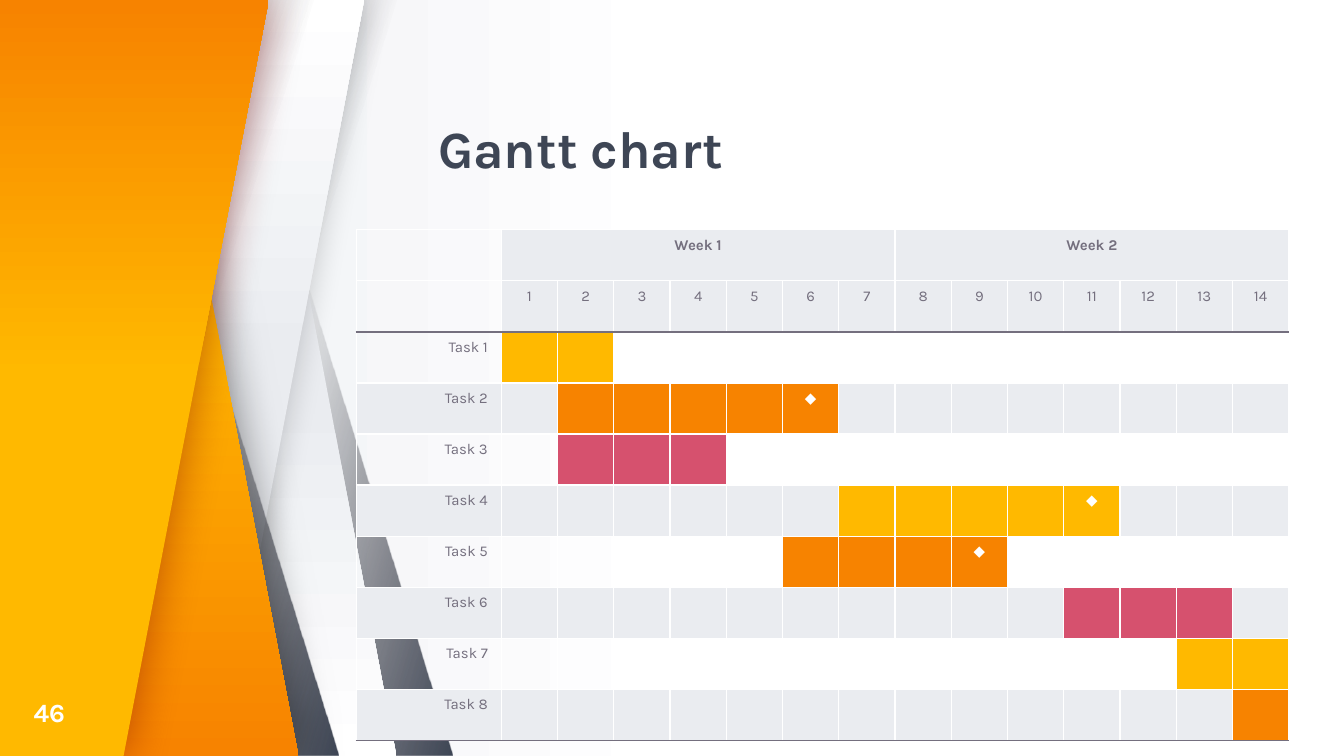
from lxml import etree
from pptx import Presentation
from pptx.dml.color import RGBColor
from pptx.enum.shapes import MSO_SHAPE
from pptx.enum.text import MSO_ANCHOR, PP_ALIGN
from pptx.oxml.ns import qn
from pptx.util import Inches, Pt

FONT = "Karla"
WIDTH = 10
HEIGHT = WIDTH * 9 / 16
WHITE = RGBColor(0xFF, 0xFF, 0xFF)
PALE = RGBColor(0xEA, 0xEC, 0xF0)
GREY = RGBColor(0x74, 0x6F, 0x7E)
SLATE = RGBColor(0x3E, 0x46, 0x55)
INK = RGBColor(0x27, 0x25, 0x2C)
YELLOW = RGBColor(0xFF, 0xB9, 0x00)
ORANGE = RGBColor(0xF7, 0x83, 0x00)
PINK = RGBColor(0xD6, 0x51, 0x6E)
BLACK = RGBColor(0, 0, 0)
MAROON = RGBColor(0x7E, 0x08, 0x08)

# First day, last day, colour, milestone on the last day
TASKS = [
    (1, 2, YELLOW, False),
    (2, 6, ORANGE, True),
    (2, 4, PINK, False),
    (7, 11, YELLOW, True),
    (6, 9, ORANGE, True),
    (11, 13, PINK, False),
    (13, 14, YELLOW, False),
    (14, 14, ORANGE, False),
]
DAYS = 14


def set_gradient(fill, start, first, last, angle):
    """Two-stop gradient; angle runs clockwise, start is in percent."""
    fill.gradient()
    fill.gradient_angle = 360 - angle
    for stop, position, color in zip(fill.gradient_stops, (start / 100, 1), (first, last)):
        stop.position = position
        stop.color.rgb = color


def add_glow(sp, color, alpha, blur):
    effects = sp._element.spPr.find(qn("a:effectLst"))
    shadow = etree.SubElement(effects, qn("a:outerShdw"), blurRad=str(Pt(blur)),
                              dist="0", dir="0", algn="ctr", rotWithShape="0")
    rgb = etree.SubElement(shadow, qn("a:srgbClr"), val=str(color))
    etree.SubElement(rgb, qn("a:alpha"), val=str(alpha * 1000))


def finish_panel(sp, gradient, glow=None):
    set_gradient(sp.fill, *gradient)
    sp.line.fill.background()
    sp.shadow.inherit = False
    if glow:
        add_glow(sp, *glow)


def add_slant(s, left, slant, gradient, flip=False, glow=None):
    sp = s.shapes.add_shape(MSO_SHAPE.PARALLELOGRAM, Inches(left), 0,
                            Inches(2.3), Inches(HEIGHT))
    sp.adjustments[0] = slant
    if flip:
        sp._element.spPr.xfrm.set("flipH", "1")
    finish_panel(sp, gradient, glow)
    return sp


def add_fading_slant(s, left, start, angle, flip=False):
    sp = add_slant(s, left, 0.753, (start, INK, SLATE, angle), flip)
    first = sp._element.xpath(".//a:gs/a:srgbClr")[0]
    etree.SubElement(first, qn("a:alpha"), val="0")


def add_side_panel(s, top, bottom, gradient, glow):
    points = [(0, HEIGHT), (bottom, HEIGHT), (top, 0)]
    builder = s.shapes.build_freeform(0, 0)
    builder.add_line_segments([(Inches(x), Inches(y)) for x, y in points], close=True)
    finish_panel(builder.convert_to_shape(), gradient, glow)


def set_font(p, size, color, bold=False):
    p.font.name = FONT
    p.font.size = Pt(size)
    p.font.bold = bold
    p.font.color.rgb = color


def add_text(s, box, text, size, color, anchor):
    tf = s.shapes.add_textbox(*map(Inches, box)).text_frame
    tf.word_wrap = True
    tf.vertical_anchor = anchor
    tf.margin_left = tf.margin_top = tf.margin_right = tf.margin_bottom = 0
    p = tf.paragraphs[0]
    p.text = text
    set_font(p, size, color, bold=True)
    return p


def set_borders(cell, top, bottom):
    tc_pr = cell._tc.get_or_add_tcPr()
    for side, color in (("L", WHITE), ("R", WHITE), ("T", top), ("B", bottom)):
        ln = etree.SubElement(tc_pr, qn(f"a:ln{side}"), w=str(Pt(0.75)))
        solid = etree.SubElement(ln, qn("a:solidFill"))
        etree.SubElement(solid, qn("a:srgbClr"), val=str(color))


def style_cell(cell, fill):
    if fill is None:
        cell.fill.background()
    else:
        cell.fill.solid()
        cell.fill.fore_color.rgb = fill


def write_cell(cell, text, align=PP_ALIGN.CENTER, color=GREY, bold=False):
    p = cell.text_frame.paragraphs[0]
    p.text = text
    p.alignment = align
    set_font(p, 8, color, bold)


def add_gantt(s):
    row_count = len(TASKS) + 2
    label_width, width, row_height = 1.08, 6.94, 0.38
    table = s.shapes.add_table(row_count, DAYS + 1, Inches(2.65), Inches(1.71),
                               Inches(width), Inches(row_height * row_count)).table
    table.first_row = table.horz_banding = False
    for column in table.columns:
        column.width = Inches((width - label_width) / DAYS)
    table.columns[0].width = Inches(label_width)

    # Borders, bands and small type in every cell
    for i, row in enumerate(table.rows):
        row.height = Inches(row_height)
        for j, cell in enumerate(row.cells):
            set_borders(cell, GREY if i == 2 else WHITE,
                        GREY if i in (1, row_count - 1) else WHITE)
            banded = j > 0 if i < 2 else i % 2 == 1
            style_cell(cell, PALE if banded else None)
            p = cell.text_frame.paragraphs[0]
            etree.SubElement(p._p, qn("a:endParaRPr"), sz="800")

    # Weeks and days
    for week, first in enumerate((1, 8), 1):
        table.cell(0, first).merge(table.cell(0, first + 6))
        write_cell(table.cell(0, first), f"Week {week}", bold=True)
    for day in range(1, DAYS + 1):
        write_cell(table.cell(1, day), str(day))

    # Task bars
    for number, (first, last, color, milestone) in enumerate(TASKS, 1):
        i = number + 1
        write_cell(table.cell(i, 0), f"Task {number}", PP_ALIGN.RIGHT)
        for day in range(first, last + 1):
            style_cell(table.cell(i, day), color)
        if milestone:
            write_cell(table.cell(i, last), "◆", color=WHITE)


def main():
    prs = Presentation()
    prs.slide_width, prs.slide_height = Inches(WIDTH), Inches(HEIGHT)
    s = prs.slides.add_slide(prs.slide_layouts[6])
    set_gradient(s.background.fill, 50, WHITE, PALE, 180)

    # Folded ribbons, back to front
    add_fading_slant(s, 1.07, 45, 164, flip=True)
    add_slant(s, 0.65, 0.463, (53, PALE, WHITE, 90), flip=True)
    add_fading_slant(s, 0.65, 44, 198)
    add_slant(s, 0.41, 0.463, (53, PALE, WHITE, 270), glow=(BLACK, 20, 16.9))
    add_fading_slant(s, 0.22, 45, 164, flip=True)
    add_side_panel(s, 1.15, 2.22, (37, YELLOW, ORANGE, 90), (BLACK, 50, 24.7))
    add_fading_slant(s, 0.03, 44, 198)
    add_side_panel(s, 2, 0.92, (50, YELLOW, ORANGE, 270), (MAROON, 50, 24.7))

    # Title and page number
    title = add_text(s, (3.26, 0.91, 5.97, 0.43), "Gantt chart", 28, SLATE, MSO_ANCHOR.BOTTOM)
    title.line_spacing = 0.9
    add_text(s, (0.25, 5.16, 0.4, 0.27), "46", 14, WHITE, MSO_ANCHOR.MIDDLE)

    add_gantt(s)
    prs.save("out.pptx")


if __name__ == "__main__":
    main()
